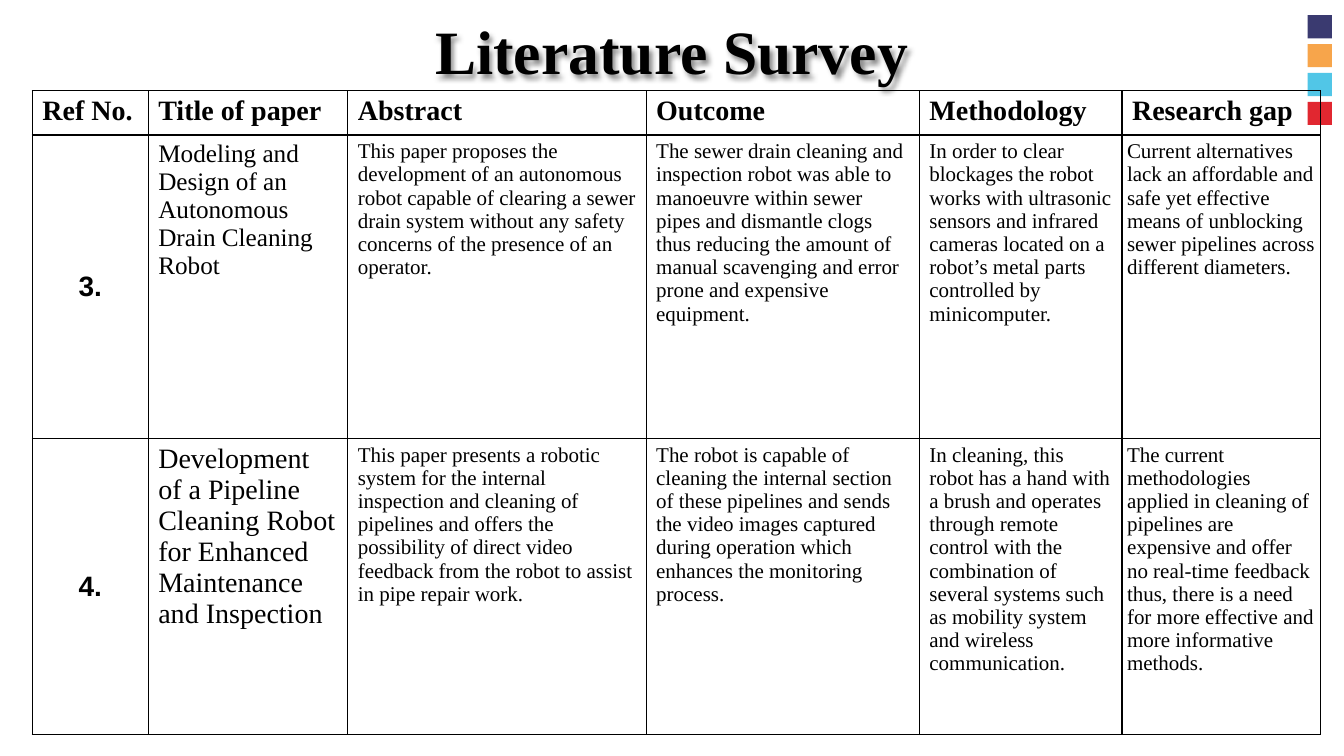
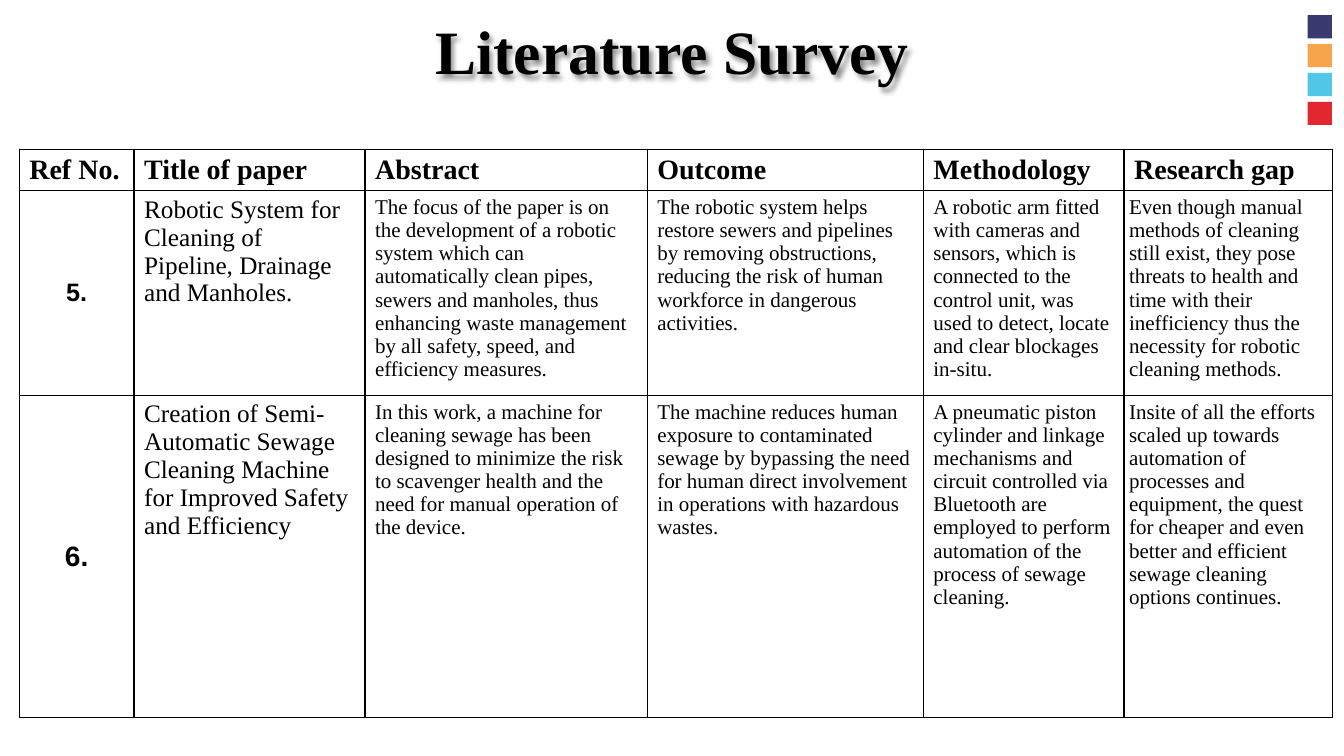
from lxml import etree
from pptx import Presentation
from pptx.dml.color import RGBColor
from pptx.enum.shapes import MSO_SHAPE
from pptx.enum.text import MSO_ANCHOR, MSO_AUTO_SIZE, PP_ALIGN
from pptx.oxml import parse_xml
from pptx.oxml.ns import nsdecls, qn
from pptx.util import Inches, Pt

RECT = MSO_SHAPE.RECTANGLE
TOP, MIDDLE = MSO_ANCHOR.TOP, MSO_ANCHOR.MIDDLE
LEFT, CENTER = PP_ALIGN.LEFT, PP_ALIGN.CENTER
NO_FIT = MSO_AUTO_SIZE.NONE

HUES = {"ink": "000000", "navy": "3A3A70", "amber": "F7A54B",
        "sky": "51C6E7", "red": "E12730"}
SERIF, SANS = "Times New Roman", "Arial"
HEADS = ["Ref No.", "Title of paper", "Abstract", "Outcome",
         "Methodology", "Research gap"]


class Deck:
    """Style and current slide; lengths are percent of the slide's size."""

    def __init__(self):
        self.prs = Presentation()
        self.prs.slide_width = Inches(13.33)
        self.prs.slide_height = Inches(7.5)
        self.slide = None

    def across(self, share):
        return round(self.prs.slide_width * share / 100)

    def down(self, share):
        return round(self.prs.slide_height * share / 100)

    def box(self, x, y, w, h):
        return self.across(x), self.down(y), self.across(w), self.down(h)

    def text(self, para, words, size, font=SERIF, bold=False, align=LEFT):
        para.alignment = align
        run = para.add_run()
        run.text = words
        run.font.size = Pt(size)
        run.font.name = font
        run.font.bold = bold
        run.font.color.rgb = RGBColor.from_string(HUES["ink"])

    def start(self, words):
        """Add a slide with its title and corner squares."""
        self.slide = self.prs.slides.add_slide(self.prs.slide_layouts[5])
        title = self.slide.shapes.title
        title.left, title.top, title.width, title.height = self.box(0, 1, 100, 11)
        frame = title.text_frame
        frame.auto_size = NO_FIT
        frame.vertical_anchor = TOP
        self.text(frame.paragraphs[0], words, 44, bold=True, align=CENTER)
        title._element.spPr.append(parse_xml(
            f'<a:effectLst {nsdecls("a")}><a:outerShdw blurRad="38100" '
            'dist="38100" dir="3600000" algn="tl" rotWithShape="0">'
            '<a:srgbClr val="000000"><a:alpha val="43000"/></a:srgbClr>'
            '</a:outerShdw></a:effectLst>'))
        for row, hue in enumerate(["navy", "amber", "sky", "red"]):
            self.square(97.3, 2 + 3.82 * row, 1.8, 3.07, hue)

    def square(self, x, y, w, h, hue):
        shape = self.slide.shapes.add_shape(RECT, *self.box(x, y, w, h))
        shape.shadow.inherit = False
        shape.fill.solid()
        shape.fill.fore_color.rgb = RGBColor.from_string(HUES[hue])
        shape.line.fill.background()

    def rule(self, cell):
        """Draw the four borders of a cell."""
        props = cell._tc.get_or_add_tcPr()
        for side in ("a:lnL", "a:lnR", "a:lnT", "a:lnB"):
            line = etree.SubElement(props, qn(side), w=str(Pt(1)))
            fill = etree.SubElement(line, qn("a:solidFill"))
            etree.SubElement(fill, qn("a:srgbClr"), val=HUES["ink"])

    def cell(self, cell, words, size, inset=0.1, anchor=TOP, **style):
        self.rule(cell)
        cell.fill.background()
        cell.margin_left = cell.margin_right = Inches(inset)
        cell.vertical_anchor = anchor
        self.text(cell.text_frame.paragraphs[0], words, size, **style)

    def table(self, x, y, cols, rows, papers):
        """Each paper is (number size, title size, texts)."""
        table = self.slide.shapes.add_table(
            len(rows), len(cols), *self.box(x, y, sum(cols), sum(rows))).table
        table.first_row = table.horz_banding = False
        for col, share in zip(table.columns, cols):
            col.width = self.across(share)
        for row, share in zip(table.rows, rows):
            row.height = self.down(share)

        for col, head in enumerate(HEADS):
            self.cell(table.cell(0, col), head, 20, bold=True)
        last = len(cols) - 1
        for row, (num_size, name_size, texts) in enumerate(papers, 1):
            num, name, *notes = texts
            self.cell(table.cell(row, 0), num, num_size, anchor=MIDDLE,
                      font=SANS, bold=True, align=CENTER)
            self.cell(table.cell(row, 1), name, name_size)
            for col, note in enumerate(notes, 2):
                self.cell(table.cell(row, col), note, 15,
                          inset=0.05 if col == last else 0.1)


def main():
    deck = Deck()

    # Papers 3 and 4
    deck.start("Literature Survey")
    deck.table(
        2.4, 12, [8.63, 14.85, 22.2, 20.33, 15.08, 14.78], [5.87, 40.13, 39.2],
        [(20, 18, [
            "3.",
            "Modeling and Design of an Autonomous Drain Cleaning Robot",
            "This paper proposes the development of an autonomous robot "
            "capable of clearing a sewer drain system without any safety "
            "concerns of the presence of an operator.",
            "The sewer drain cleaning and inspection robot was able to "
            "manoeuvre within sewer pipes and dismantle clogs thus reducing "
            "the amount of manual scavenging and error prone and expensive "
            "equipment.",
            "In order to clear blockages the robot works with ultrasonic "
            "sensors and infrared cameras located on a robot’s metal parts "
            "controlled by minicomputer.",
            "Current alternatives lack an affordable and safe yet effective "
            "means of unblocking sewer pipelines across different diameters.",
        ]), (20, 20, [
            "4.",
            "Development of a Pipeline Cleaning Robot for Enhanced "
            "Maintenance and Inspection",
            "This paper presents a robotic system for the internal "
            "inspection and cleaning of pipelines and offers the possibility "
            "of direct video feedback from the robot to assist in pipe "
            "repair work.",
            "The robot is capable of cleaning the internal section of these "
            "pipelines and sends the video images captured during operation "
            "which enhances the monitoring process.",
            "In cleaning, this robot has a hand with a brush and operates "
            "through remote control with the combination of several systems "
            "such as mobility system and wireless communication.",
            "The current methodologies applied in cleaning of pipelines are "
            "expensive and offer no real-time feedback thus, there is a need "
            "for more effective and more informative methods.",
        ])])

    # Papers 5 and 6
    deck.start("Literature Survey")
    deck.table(
        1.43, 19.73, [8.55, 17.18, 21, 20.55, 14.93, 15.53], [5.5, 27.07, 42.67],
        [(18, 18, [
            "5.",
            "Robotic System for Cleaning of Pipeline, Drainage and Manholes.",
            "The focus of the paper is on the development of a robotic "
            "system which can automatically clean pipes, sewers and "
            "manholes, thus enhancing waste management by all safety, "
            "speed, and efficiency measures.",
            "The robotic system helps restore sewers and pipelines by "
            "removing obstructions, reducing the risk of human workforce in "
            "dangerous activities.",
            "A robotic arm fitted with cameras and sensors, which is "
            "connected to the control unit, was used to detect, locate and "
            "clear blockages in-situ.",
            "Even though manual methods of cleaning still exist, they pose "
            "threats to health and time with their inefficiency thus the "
            "necessity for robotic cleaning methods.",
        ]), (20, 18, [
            "6.",
            "Creation of Semi-Automatic Sewage Cleaning Machine for Improved "
            "Safety and Efficiency",
            "In this work, a machine for cleaning sewage has been designed "
            "to minimize the risk to scavenger health and the need for "
            "manual operation of the device.",
            "The machine reduces human exposure to contaminated sewage by "
            "bypassing the need for human direct involvement in operations "
            "with hazardous wastes.",
            "A pneumatic piston cylinder and linkage mechanisms and "
            "circuit controlled via Bluetooth are employed to perform "
            "automation of the process of sewage cleaning.",
            "Insite of all the efforts scaled up towards automation of "
            "processes and equipment, the quest for cheaper and even better "
            "and efficient sewage cleaning options continues.",
        ])])

    deck.prs.save("out.pptx")


if __name__ == "__main__":
    main()
